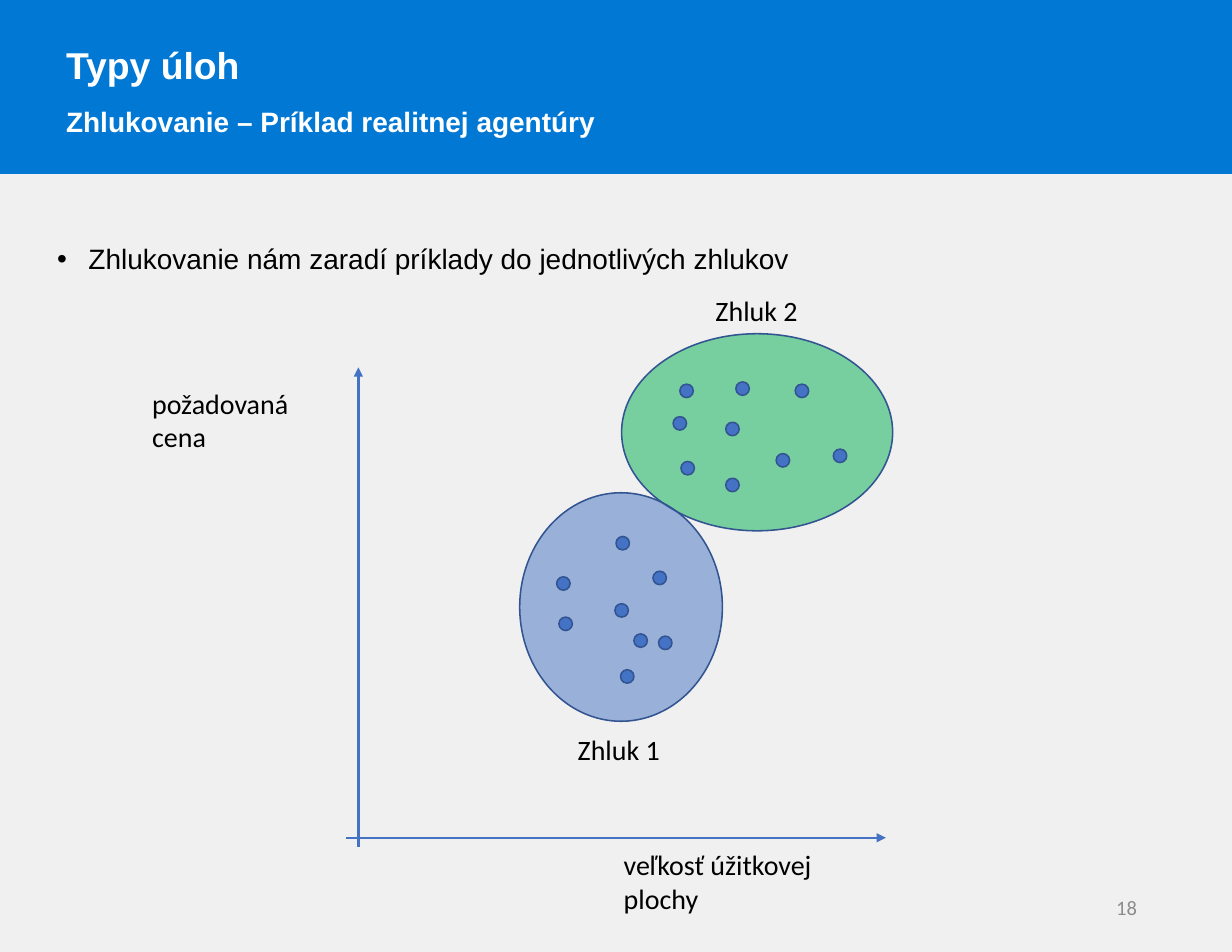
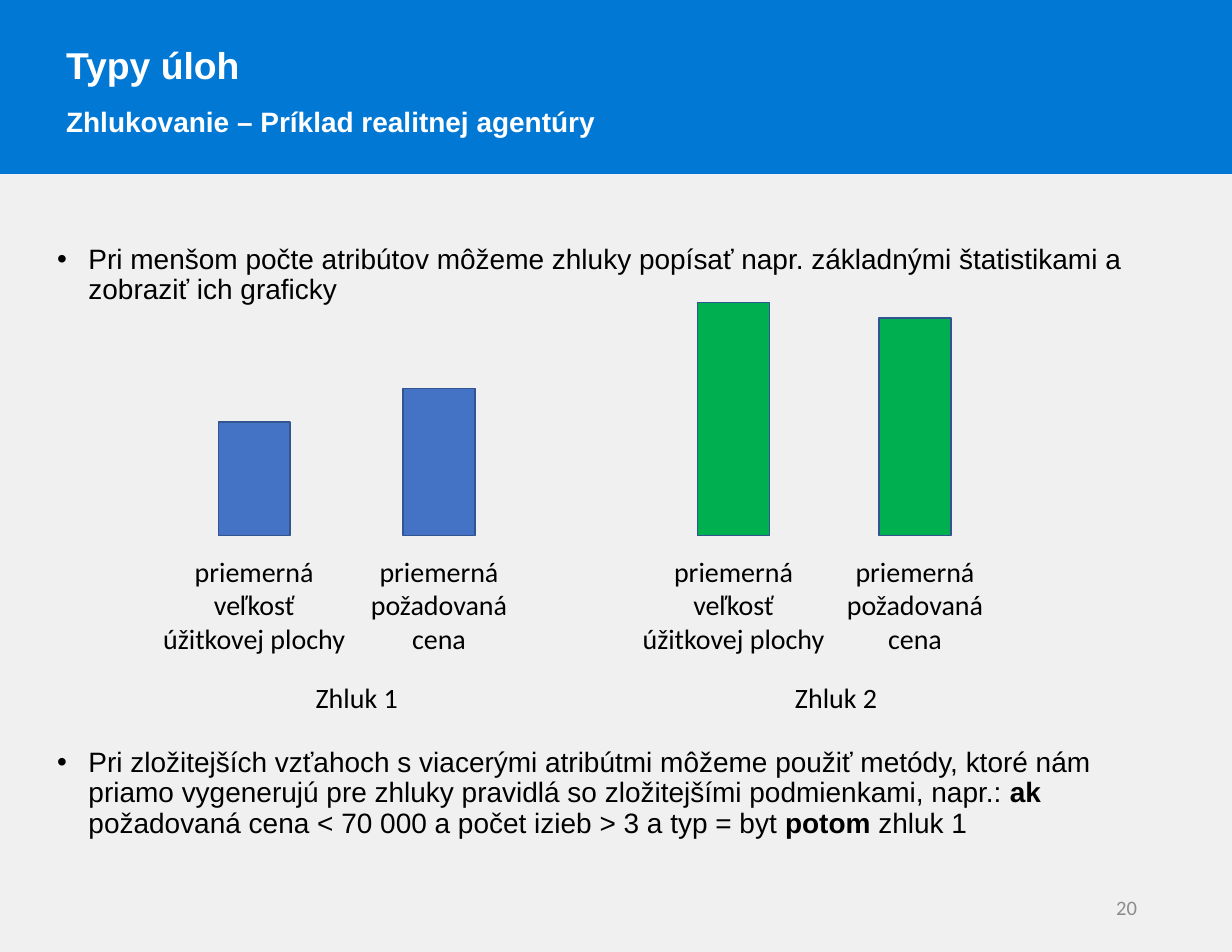
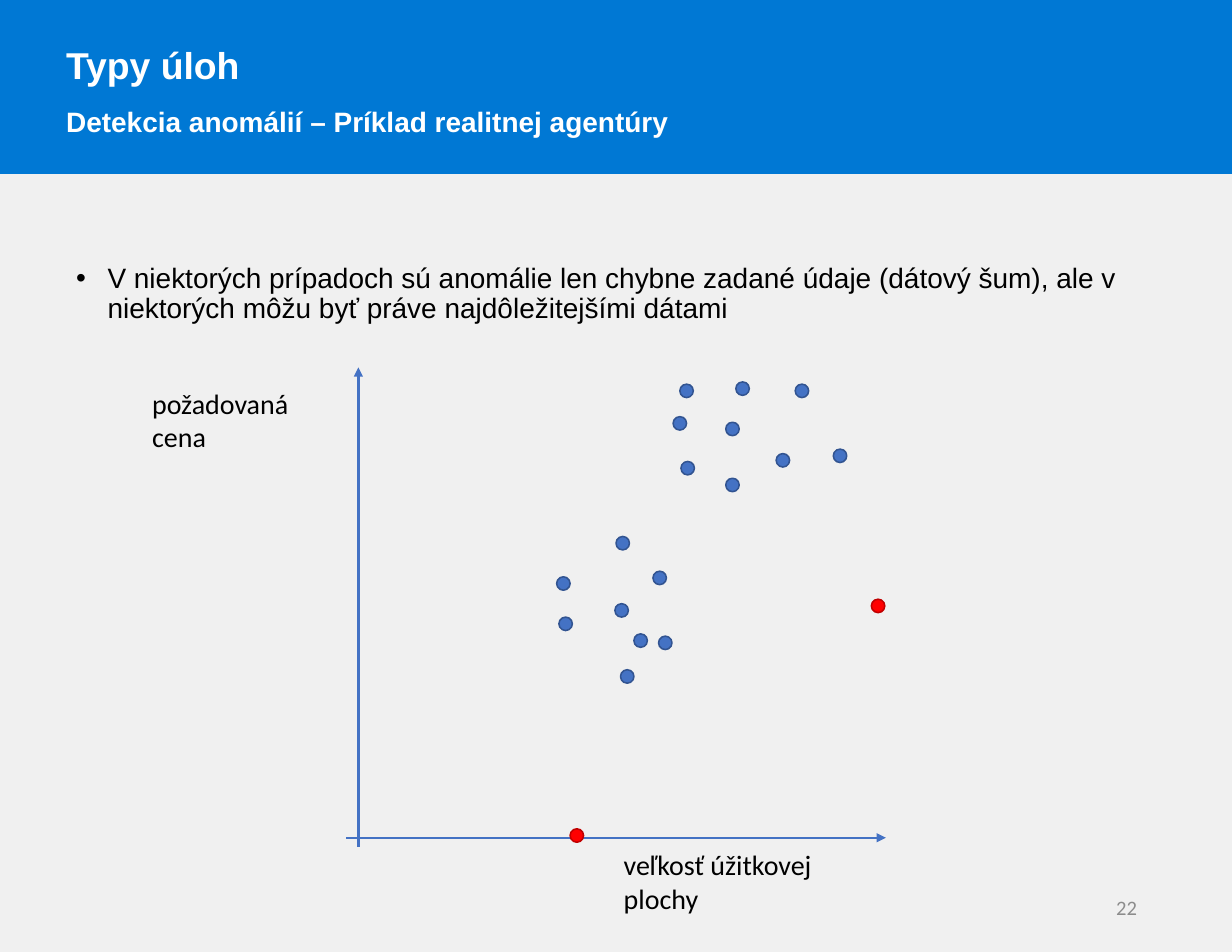
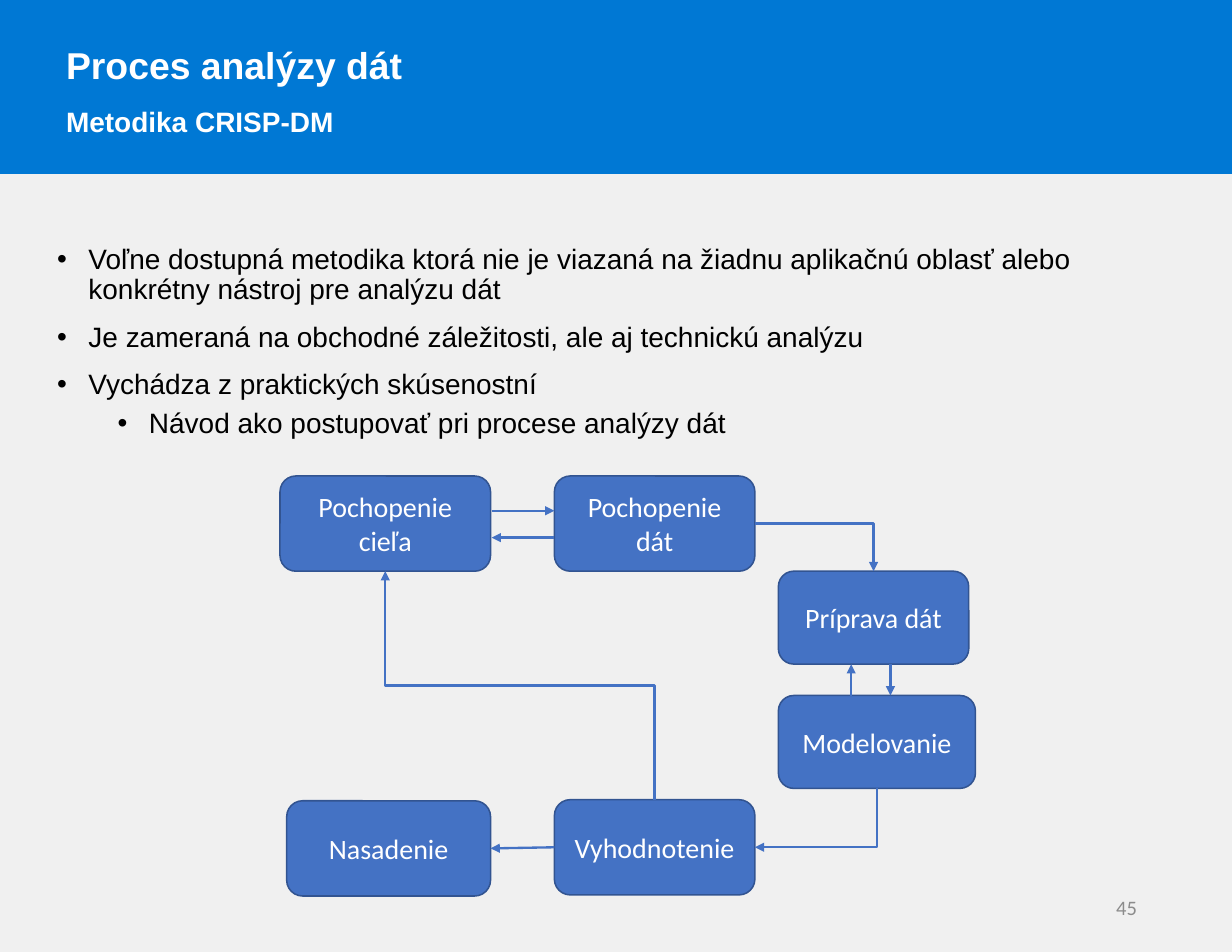
import pptx
import pptx.dml.color
import pptx.enum.shapes
import pptx.enum.text
import pptx.oxml.ns
import pptx.util
from lxml import etree

COLUMNS, ROWS = 110, 85
BLUE, DARK_BLUE, GREEN = "4472C4", "325491", "00B050"
BAND, PAPER, WHITE, BLACK, GREY = "0078D4", "F0F0F0", "FFFFFF", "000000", "8C8C8C"
RED, DARK_RED = "FF0000", "C00000"
HEADING_FONT, LABEL_FONT = "Arial", "Calibri"
TOP, LEFT, BOTTOM, RIGHT = range(4)

SHAPES = pptx.enum.shapes.MSO_SHAPE
CONNECTORS = pptx.enum.shapes.MSO_CONNECTOR
ALIGN = pptx.enum.text.PP_ALIGN
ANCHOR = pptx.enum.text.MSO_ANCHOR
FIT = pptx.enum.text.MSO_AUTO_SIZE
qn = pptx.oxml.ns.qn

DOT = 1.2
CLUSTER_1 = [(49.7, 51.5), (49.9, 55.1), (54.9, 53.9), (58.8, 56.8),
             (56.6, 56.6), (58.3, 51), (55.4, 59.8), (55, 47.9)]
CLUSTER_2 = [(60.7, 34.3), (65.7, 34.1), (60.1, 37.2), (60.8, 41.2), (64.8, 37.7),
             (64.8, 42.7), (69.3, 40.5), (71, 34.3), (74.4, 40.1)]
ANOMALIES = [(77.8, 53.5), (50.9, 74)]


def color(hex_code):
    return pptx.dml.color.RGBColor.from_string(hex_code)


def write(frame, text, size=18, font=LABEL_FONT, ink=BLACK, bold=False, align=ALIGN.LEFT,
          spacing=None, before=0, level=None):
    """Add one paragraph; **marks** switch bold, a level makes it a bullet."""
    first = frame.paragraphs[0]
    paragraph = frame.add_paragraph() if first.runs else first
    if level is not None:
        paragraph.level = level
        properties = paragraph._p.get_or_add_pPr()
        properties.set("marL", str(pptx.util.Inches((0.28, 0.82)[level])))
        properties.set("indent", str(pptx.util.Inches(-0.28)))
        etree.SubElement(properties, qn("a:buFont"), typeface=HEADING_FONT)
        etree.SubElement(properties, qn("a:buChar"), char="•")
    paragraph.alignment = align
    paragraph.line_spacing = spacing
    paragraph.space_before = pptx.util.Pt(before)
    for index, piece in enumerate(text.split("**")):
        run = paragraph.add_run()
        run.text = piece
        run.font.size = pptx.util.Pt(size)
        run.font.name = font
        run.font.bold = bold or index % 2 == 1
        run.font.color.rgb = color(ink)


class Deck:
    """Holds the style and the current slide; positions are grid columns and rows."""

    def __init__(self):
        self.show = pptx.Presentation()
        self.show.slide_width = pptx.util.Inches(11)
        self.show.slide_height = pptx.util.Inches(8.5)
        self.column = self.show.slide_width / COLUMNS
        self.row = self.show.slide_height / ROWS
        paper = self.show.slide_master.background.fill
        paper.solid()
        paper.fore_color.rgb = color(PAPER)
        self.slide = None

    def area(self, *lengths):
        """Turn alternating columns and rows into slide lengths."""
        return [round(length * (self.row if index % 2 else self.column))
                for index, length in enumerate(lengths)]

    def place(self, holder, *area):
        holder.left, holder.top, holder.width, holder.height = self.area(*area)

    def start(self, heading, subheading, number):
        self.slide = self.show.slides.add_slide(self.show.slide_layouts[1])
        band = self.shape(SHAPES.RECTANGLE, (0, 0, COLUMNS, 15.5), BAND, BAND)
        self.slide.shapes.element.insert(2, band.element)
        title = self.slide.shapes.title
        self.place(title, 4.9, 1.3, 101.8, 11.1)
        frame = title.text_frame
        frame.vertical_anchor = ANCHOR.TOP
        frame.auto_size = FIT.SHAPE_TO_FIT_TEXT
        for text, size in ((heading, 24), (subheading, 18)):
            write(frame, text, size, HEADING_FONT, WHITE, bold=True, spacing=1.5)
        self.label([str(number)], (77.7, 78.8, 24.8, 4.5), size=13.2, ink=GREY,
                   align=ALIGN.RIGHT, anchor=ANCHOR.MIDDLE, fit=FIT.NONE)

    def bullets(self, *items, left=4.1, top=21.4):
        """Fill the body; each item is text, level and points of space before."""
        body = self.slide.placeholders[1]
        self.place(body, left, top, 101.8, 57.4)
        body.text_frame.auto_size = FIT.NONE
        for text, level, before in items:
            write(body.text_frame, text, font=HEADING_FONT, spacing=0.9,
                  before=before, level=level)

    def label(self, lines, area, wrap=True, anchor=ANCHOR.TOP,
              fit=FIT.SHAPE_TO_FIT_TEXT, **style):
        frame = self.slide.shapes.add_textbox(*self.area(*area)).text_frame
        frame.word_wrap = wrap
        frame.auto_size = fit
        frame.vertical_anchor = anchor
        for line in lines:
            write(frame, line, **style)

    def shape(self, preset, area, fill, outline=DARK_BLUE, opacity=None):
        shape = self.slide.shapes.add_shape(preset, *self.area(*area))
        shape.shadow.inherit = False
        shape.fill.solid()
        shape.fill.fore_color.rgb = color(fill)
        if opacity:
            tint = shape.element.spPr.find(".//" + qn("a:srgbClr"))
            etree.SubElement(tint, qn("a:alpha"), val=str(opacity * 1000))
        shape.line.color.rgb = color(outline)
        shape.line.width = pptx.util.Pt(1)
        return shape

    def step(self, text, area):
        step = self.shape(SHAPES.ROUNDED_RECTANGLE, area, BLUE)
        step.text_frame.word_wrap = True
        step.text_frame.vertical_anchor = ANCHOR.MIDDLE
        write(step.text_frame, text, ink=WHITE, align=ALIGN.CENTER)
        return step

    def dots(self, points, fill=BLUE, outline=DARK_BLUE):
        for column, row in points:
            self.shape(SHAPES.OVAL, (column, row, DOT, DOT), fill, outline)

    def arrow(self, *ends, bend=CONNECTORS.STRAIGHT):
        arrow = self.slide.shapes.add_connector(bend, *self.area(*ends))
        arrow.line.color.rgb = color(BLUE)
        arrow.line.width = pptx.util.Pt(1.5)
        outline = arrow.element.spPr.find(qn("a:ln"))
        etree.SubElement(outline, qn("a:tailEnd"), type="triangle")
        etree.SubElement(arrow.element.spPr, qn("a:effectLst"))
        return arrow

    def join(self, source, source_side, target, target_side, bend=CONNECTORS.STRAIGHT):
        arrow = self.arrow(0, 0, 1, 1, bend=bend)
        arrow.begin_connect(source, source_side)
        arrow.end_connect(target, target_side)
        return arrow

    def elbow(self, *route, preset, turn=0, flip=False):
        """Join two steps by a bent arrow, turned by 0, 90 or 270 degrees."""
        arrow = self.join(*route, bend=CONNECTORS.ELBOW)
        arrow.element.spPr.find(qn("a:prstGeom")).set("prst", preset)
        frame = arrow.element.spPr.find(qn("a:xfrm"))
        for name in ("flipH", "flipV"):
            frame.attrib.pop(name, None)
        if turn:
            width, height = arrow.width, arrow.height
            arrow.left += (width - height) // 2
            arrow.top += (height - width) // 2
            arrow.width, arrow.height = height, width
            frame.set("rot", str(turn * 60000))
        if flip:
            frame.set("flipV", "1")

    def scatter(self):
        """Draw the price and floor area axes with both groups of points."""
        self.arrow(32, 75.6, 32, 32.8)
        self.arrow(30.9, 74.8, 79.1, 74.8)
        self.label(["požadovaná cena"], (12.6, 34, 17.4, 6.5))
        self.label(["veľkosť úžitkovej plochy"], (54.7, 75.2, 23.1, 6.5))
        self.dots(CLUSTER_1 + CLUSTER_2)


def clusters(deck):
    deck.start("Typy úloh", "Zhlukovanie – Príklad realitnej agentúry", 18)
    deck.bullets(("Zhlukovanie nám zaradí príklady do jednotlivých zhlukov", 0, 0))
    deck.shape(SHAPES.OVAL, (55.5, 29.8, 24.2, 17.6), GREEN, opacity=50)
    deck.shape(SHAPES.OVAL, (46.4, 44, 18.1, 20.4), BLUE, opacity=50)
    deck.label(["Zhluk 1"], (50.6, 64.9, 9.4, 4), wrap=False)
    deck.label(["Zhluk 2"], (62.9, 25.7, 9.4, 4), wrap=False)
    deck.scatter()


def cluster_averages(deck):
    deck.start("Typy úloh", "Zhlukovanie – Príklad realitnej agentúry", 20)
    deck.bullets(
        ("Pri menšom počte atribútov môžeme zhluky popísať napr. základnými "
         "štatistikami a zobraziť ich graficky", 0, 0),
        ("Pri zložitejších vzťahoch s viacerými atribútmi môžeme použiť metódy, ktoré "
         "nám priamo vygenerujú pre zhluky pravidlá so zložitejšími podmienkami, "
         "napr.: **ak** požadovaná cena < 70 000 a počet izieb > 3 a typ = byt "
         "**potom** zhluk 1", 0, 284.5))
    floor_area = ["priemerná", "veľkosť", "úžitkovej plochy"], 18.4
    price = ["priemerná", "požadovaná", "cena"], 14.3
    base, bar_width = 47.8, 6.4
    for name, name_left, fill, bars in (
            ("Zhluk 1", 27.2, BLUE, ((19.5, 10.1, floor_area), (36, 13.1, price))),
            ("Zhluk 2", 70, GREEN, ((62.3, 20.8, floor_area), (78.5, 19.4, price)))):
        deck.label([name], (name_left, 60.3, 9.4, 4), wrap=False)
        for left, height, (caption, width) in bars:
            deck.shape(SHAPES.RECTANGLE, (left, base - height, bar_width, height), fill)
            caption_left = left + (bar_width - width) / 2
            deck.label(caption, (caption_left, 49, width, 10.1), wrap=False,
                       align=ALIGN.CENTER)


def anomalies(deck):
    deck.start("Typy úloh", "Detekcia anomálií – Príklad realitnej agentúry", 22)
    deck.bullets(("V niektorých prípadoch sú anomálie len chybne zadané údaje (dátový "
                  "šum), ale v niektorých môžu byť práve najdôležitejšími dátami", 0, 0),
                 left=5.8, top=23.1)
    deck.scatter()
    deck.dots(ANOMALIES, RED, DARK_RED)


def process(deck):
    deck.start("Proces analýzy dát", "Metodika CRISP-DM", 45)
    deck.bullets(
        ("Voľne dostupná metodika ktorá nie je viazaná na žiadnu aplikačnú oblasť "
         "alebo konkrétny nástroj pre analýzu dát", 0, 0),
        ("Je zameraná na obchodné záležitosti, ale aj technickú analýzu", 0, 11),
        ("Vychádza z praktických skúsenostní", 0, 11),
        ("Návod ako postupovať pri procese analýzy dát", 1, 5.5))
    goal = deck.step("Pochopenie cieľa", (25, 42.5, 18.8, 8.5))
    understanding = deck.step("Pochopenie dát", (49.5, 42.5, 17.9, 8.5))
    preparation = deck.step("Príprava dát", (69.5, 51, 17, 8.3))
    modelling = deck.step("Modelovanie", (69.5, 62.1, 17.6, 8.3))
    evaluation = deck.step("Vyhodnotenie", (49.5, 71.4, 17.9, 8.5))
    deployment = deck.step("Nasadenie", (25.6, 71.5, 18.2, 8.5))

    deck.arrow(43.9, 45.6, 49.5, 45.6)
    deck.arrow(49.5, 48, 43.9, 48)
    deck.arrow(76, 62.1, 76, 59.3)
    deck.arrow(79.5, 59.3, 79.5, 62.1)
    deck.elbow(evaluation, TOP, goal, BOTTOM, preset="bentConnector3", turn=270, flip=True)
    deck.elbow(understanding, RIGHT, preparation, TOP, preset="bentConnector2")
    deck.elbow(modelling, BOTTOM, evaluation, RIGHT, preset="bentConnector2", turn=90)
    deck.join(evaluation, LEFT, deployment, RIGHT)


def main():
    deck = Deck()
    for build in (clusters, cluster_averages, anomalies, process):
        build(deck)
    deck.show.save("out.pptx")


if __name__ == "__main__":
    main()
